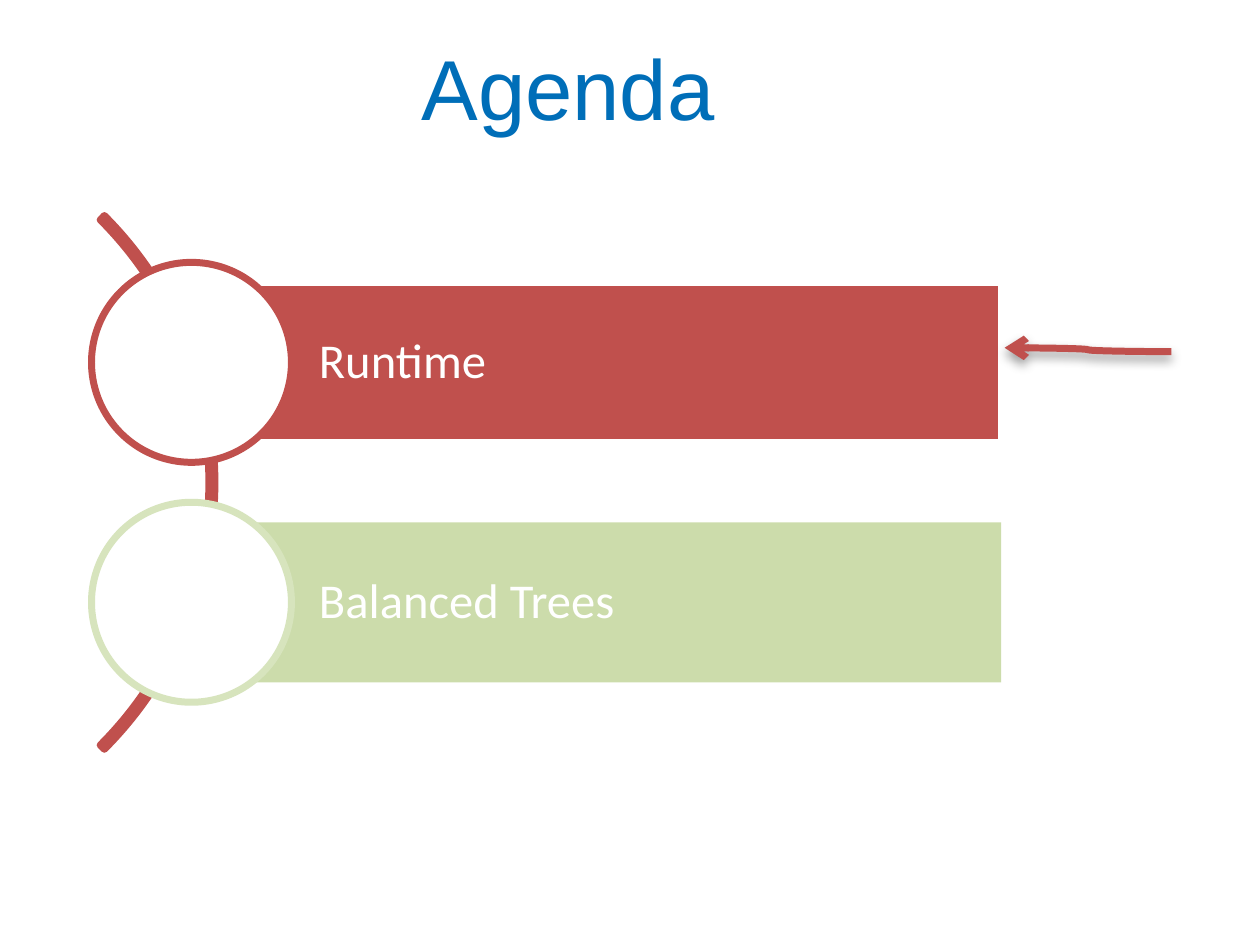
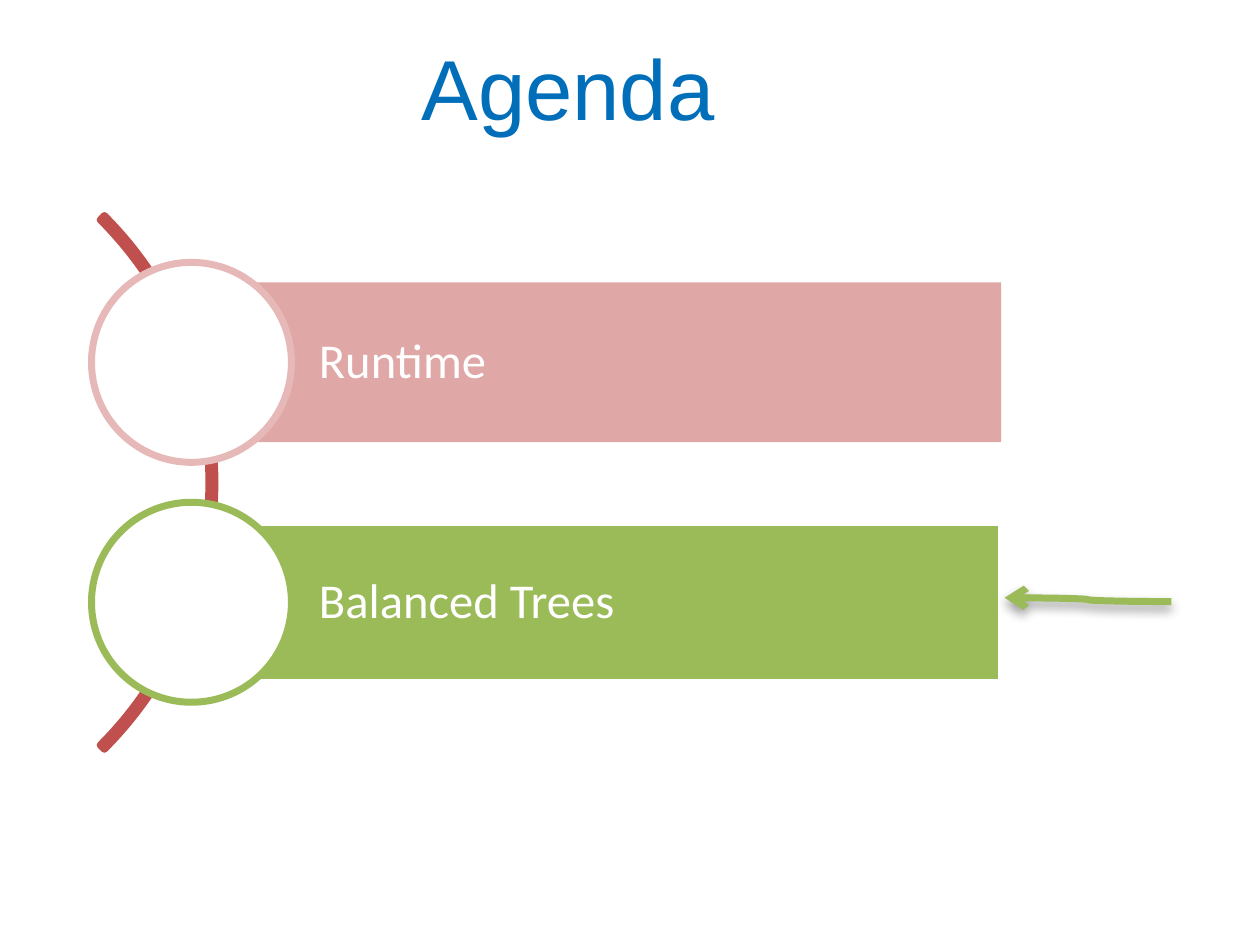
from dataclasses import dataclass

from lxml import etree
from pptx import Presentation
from pptx.dml.color import RGBColor
from pptx.enum import shapes, text
from pptx.oxml.ns import qn
from pptx.util import Pt

TITLE = "Agenda"
TOPICS = [
    {"name": "Runtime", "color": "C0504D", "pale": "E6B9B8"},
    {"name": "Balanced Trees", "color": "9BBB59", "pale": "D7E4BD"},
]


@dataclass(frozen=True)
class Theme:
    title_color: str = "006EB8"
    light: str = "FFFFFF"
    arc: str = "C0504D"
    shadow: str = "000000"
    title_font: str = "Arial"
    body_font: str = "Calibri"
    title_size: float = 24.5
    body_size: float = 14
    line: float = 2


THEME = Theme()
SLIDE_WIDTH, SLIDE_HEIGHT = 363, 272.5
TITLE_BOX = (121.5, 10.08, 95.76, 29.52)
BAR_LEFT, BAR_WIDTH, BAR_HEIGHT = 55.2, 233.28, 46.08
FIRST_CENTER, ROW_PITCH = 104.4, 69.12
CIRCLE_SIZE = 57.6
ARC_LEFT, ARC_SIZE = -155.52, 217.44
ARROW_START, ARROW_END = 337.5, 289.44
ARROW_TOP, ARROW_RISE, ARROW_PITCH = 100.2, 1.1, 72


def rgb(color):
    return RGBColor.from_string(color)


def set_line(shape, color):
    shape.line.color.rgb = rgb(color)
    shape.line.width = Pt(THEME.line)


def add_shape(slide, kind, box, fill=None, line=None):
    shape = slide.shapes.add_shape(kind, *map(Pt, box))
    shape.shadow.inherit = False
    if fill:
        shape.fill.solid()
        shape.fill.fore_color.rgb = rgb(fill)
    else:
        shape.fill.background()
    if line:
        set_line(shape, line)
    else:
        shape.line.fill.background()
    return shape


def write(shape, words, font, size, color, margins):
    frame = shape.text_frame
    frame.word_wrap = True
    frame.margin_left, frame.margin_top, frame.margin_right, frame.margin_bottom = map(Pt, margins)
    paragraph = frame.paragraphs[0]
    paragraph.text = words
    paragraph.alignment = text.PP_ALIGN.LEFT
    paragraph.font.name = font
    paragraph.font.size = Pt(size)
    paragraph.font.color.rgb = rgb(color)
    return paragraph


def add_title(slide):
    box = slide.shapes.add_textbox(*map(Pt, TITLE_BOX))
    write(box, TITLE, THEME.title_font, THEME.title_size, THEME.title_color, (0, 0, 0, 0))


def add_arc(slide):
    middle = FIRST_CENTER + ROW_PITCH * (len(TOPICS) - 1) / 2
    box = (ARC_LEFT, middle - ARC_SIZE / 2, ARC_SIZE, ARC_SIZE)
    arc = add_shape(slide, shapes.MSO_SHAPE.BLOCK_ARC, box, line=THEME.arc)
    for index, value in enumerate((189, 27, 0.008)):
        arc.adjustments[index] = value


def add_topic(slide, topic, row, is_current):
    center = FIRST_CENTER + row * ROW_PITCH
    bar_box = (BAR_LEFT, center - BAR_HEIGHT / 2, BAR_WIDTH, BAR_HEIGHT)
    bar = add_shape(slide, shapes.MSO_SHAPE.RECTANGLE, bar_box, topic["color"],
                    THEME.light if is_current else None)
    if not is_current:
        color = bar._element.spPr.find(qn("a:solidFill")).find(qn("a:srgbClr"))
        etree.SubElement(color, qn("a:alpha"), val="50000")
    paragraph = write(bar, topic["name"], THEME.body_font, THEME.body_size, THEME.light,
                      (36.72, 2.88, 2.88, 2.88))
    paragraph.line_spacing = 0.9
    bar.text_frame.vertical_anchor = text.MSO_ANCHOR.MIDDLE
    circle_box = (BAR_LEFT - CIRCLE_SIZE / 2, center - CIRCLE_SIZE / 2, CIRCLE_SIZE, CIRCLE_SIZE)
    add_shape(slide, shapes.MSO_SHAPE.OVAL, circle_box, THEME.light,
              topic["color" if is_current else "pale"])


def add_arrow(slide, color, row):
    top = ARROW_TOP + row * ARROW_PITCH
    ends = (ARROW_START, top + ARROW_RISE, ARROW_END, top)
    arrow = slide.shapes.add_connector(shapes.MSO_CONNECTOR.CURVE, *map(Pt, ends))
    set_line(arrow, color)
    properties = arrow._element.spPr
    etree.SubElement(properties.find(qn("a:ln")), qn("a:tailEnd"), type="arrow")
    effects = etree.SubElement(properties, qn("a:effectLst"))
    shadow = etree.SubElement(effects, qn("a:outerShdw"), blurRad=str(Pt(3.1)),
                              dist=str(Pt(1.6)), dir="5400000", rotWithShape="0")
    shade = etree.SubElement(shadow, qn("a:srgbClr"), val=THEME.shadow)
    etree.SubElement(shade, qn("a:alpha"), val="38000")


def add_agenda(presentation, current):
    slide = presentation.slides.add_slide(presentation.slide_layouts[6])
    add_title(slide)
    add_arc(slide)
    for row, topic in enumerate(TOPICS):
        add_topic(slide, topic, row, row == current)
    add_arrow(slide, TOPICS[current]["color"], current)


def main():
    presentation = Presentation()
    presentation.slide_width = Pt(SLIDE_WIDTH)
    presentation.slide_height = Pt(SLIDE_HEIGHT)
    for current in range(len(TOPICS)):
        add_agenda(presentation, current)
    presentation.save("out.pptx")


if __name__ == "__main__":
    main()
